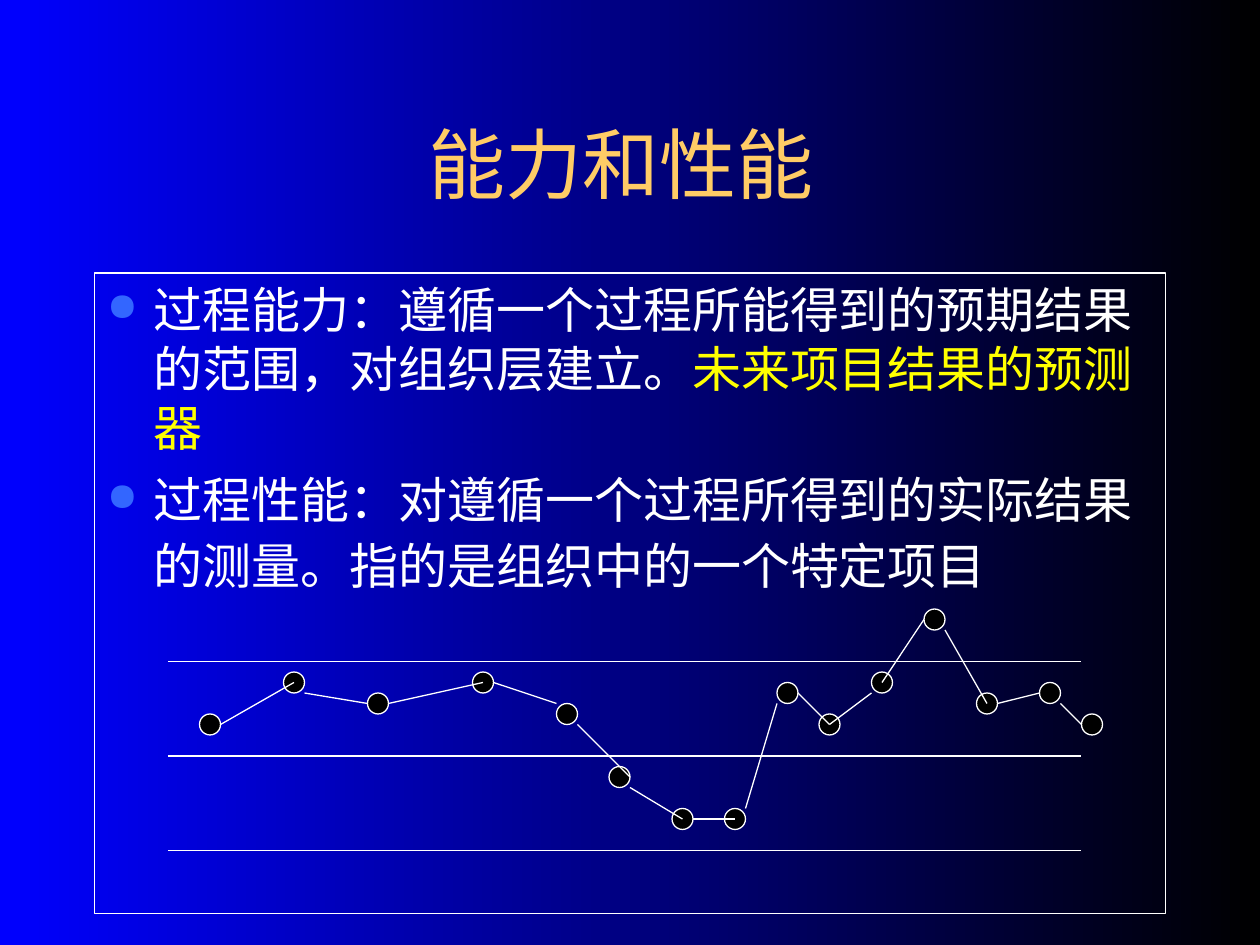
import pptx
import pptx.dml.color
import pptx.enum.shapes
import pptx.enum.text
import pptx.oxml
import pptx.oxml.ns
import pptx.util

COLORS = {"black": "000000", "blue": "0000FF", "white": "FFFFFF",
          "gold": "FFCC66", "yellow": "FFFF00", "bullet": "3366FF"}
UNIT = 2.54 / 12
DOT_SIZE = 2
LEVELS = (63, 72, 81)
DOTS = [(19, 68), (27, 64), (35, 66), (45, 64), (53, 67), (58, 73), (64, 77), (69, 77),
        (74, 65), (78, 68), (83, 64), (88, 58), (93, 66), (99, 65), (103, 68)]
LINKS = [(21, 69, 28, 65), (29, 66, 35, 67), (37, 67, 46, 65), (47, 65, 53, 67),
         (55, 69, 60, 74), (60, 75, 65, 78), (66, 78, 70, 78), (74, 67, 71, 77),
         (76, 66, 79, 69), (83, 66, 79, 69), (88, 59, 84, 65), (90, 60, 94, 67),
         (99, 66, 95, 67), (101, 67, 103, 69)]
DEFINITIONS = [
    (7, [("过程能力：遵循一个过程所能得到的预期结果的范围，对组织层建立。", 28, "white"),
         ("未来项目结果的预测器", 28, "yellow")]),
    (8, [("过程性能：对遵循一个过程所得到的实际结果的测量。指的是组织中的一个特定项目", 28, "white"),
         (" ", 32, "white")]),
]


def color(name):
    """Return the named colour."""
    return pptx.dml.color.RGBColor.from_string(COLORS[name])


def grid(*units):
    """Return lengths for positions on the twelfth-inch grid."""
    return [pptx.util.Cm(unit * UNIT) for unit in units]


class SlideBuilder:
    """Hold the style and the current slide."""

    def __init__(self, page):
        """Keep the page and its shared formats."""
        self.page = page
        self.frame_format = {
            "word_wrap": True,
            "auto_size": pptx.enum.text.MSO_AUTO_SIZE.NONE,
            "margin_left": pptx.util.Cm(0.25), "margin_right": pptx.util.Cm(0.25),
            "margin_top": pptx.util.Cm(0.13), "margin_bottom": pptx.util.Cm(0.13),
        }

    def apply(self, target, values):
        """Set attributes from a dict of format values."""
        for name, value in values.items():
            setattr(target, name, value)

    def outline(self, shape, width=0.75):
        """Give a shape the white outline."""
        shape.line.color.rgb = color("white")
        shape.line.width = pptx.util.Pt(width)

    def background(self, start, end):
        """Fill the page with a gradient running from right to left."""
        fill = self.page.background.fill
        fill.gradient()
        fill.gradient_angle = 180
        for stop, name, position in zip(fill.gradient_stops, (start, end), (0, 1)):
            stop.color.rgb = color(name)
            stop.position = position

    def add_span(self, para, text, size, font, tint):
        """Add a formatted span to a paragraph."""
        span = para.add_run()
        span.text = text
        self.apply(span.font, {"name": font, "size": pptx.util.Pt(size)})
        span.font.color.rgb = color(tint)

    def title(self, text, *place):
        """Place and format the title."""
        box = self.page.shapes.title
        self.apply(box, dict(zip(("left", "top", "width", "height"), grid(*place))))
        frame = box.text_frame
        self.apply(frame, self.frame_format)
        frame.vertical_anchor = pptx.enum.text.MSO_ANCHOR.MIDDLE
        para = frame.paragraphs[0]
        para.alignment = pptx.enum.text.PP_ALIGN.CENTER
        self.add_span(para, text, 44, "Arial", "gold")

    def bullet(self, para):
        """Give a paragraph a round bullet and a hanging indent."""
        props = para._p.get_or_add_pPr()
        indent = pptx.util.Cm(0.95)
        props.set("marL", str(indent))
        props.set("indent", str(-indent))
        namespace = pptx.oxml.ns.nsdecls("a")
        for xml in (f'<a:buClr {namespace}><a:srgbClr val="{COLORS["bullet"]}"/></a:buClr>',
                    f'<a:buSzPct {namespace} val="80000"/>',
                    f'<a:buChar {namespace} char="●"/>'):
            props.append(pptx.oxml.parse_xml(xml))

    def bullets(self, items, *place):
        """Add a framed box of bulleted paragraphs."""
        box = self.page.shapes.add_textbox(*grid(*place))
        self.outline(box, 1)
        frame = box.text_frame
        self.apply(frame, self.frame_format)
        for index, (space, spans) in enumerate(items):
            para = frame.add_paragraph() if index else frame.paragraphs[0]
            para.space_before = pptx.util.Pt(space)
            self.bullet(para)
            for text, size, tint in spans:
                self.add_span(para, text, size, "Times New Roman", tint)

    def line(self, *ends):
        """Add a straight line."""
        connector = self.page.shapes.add_connector(
            pptx.enum.shapes.MSO_CONNECTOR.STRAIGHT, *grid(*ends))
        self.outline(connector)
        connector._element.spPr.append(pptx.oxml.parse_xml(
            f'<a:effectLst {pptx.oxml.ns.nsdecls("a")}/>'))

    def dot(self, left, top):
        """Add a data point."""
        shape = self.page.shapes.add_shape(
            pptx.enum.shapes.MSO_SHAPE.OVAL, *grid(left, top, DOT_SIZE, DOT_SIZE))
        shape.shadow.inherit = False
        shape.fill.solid()
        shape.fill.fore_color.rgb = color("black")
        self.outline(shape)


def main():
    """Build and save the deck."""
    deck = pptx.Presentation()
    deck.slide_width = pptx.util.Cm(25.4)
    deck.slide_height = pptx.util.Cm(19.05)
    builder = SlideBuilder(deck.slides.add_slide(deck.slide_layouts[5]))
    builder.background("black", "blue")
    builder.title("能力和性能 ", 9, 8, 102, 15)
    builder.bullets(DEFINITIONS, 9, 26, 102, 61)
    for level in LEVELS:
        builder.line(16, level, 103, level)
    for dot in DOTS:
        builder.dot(*dot)
    for link in LINKS:
        builder.line(*link)
    deck.save("out.pptx")


if __name__ == "__main__":
    main()
